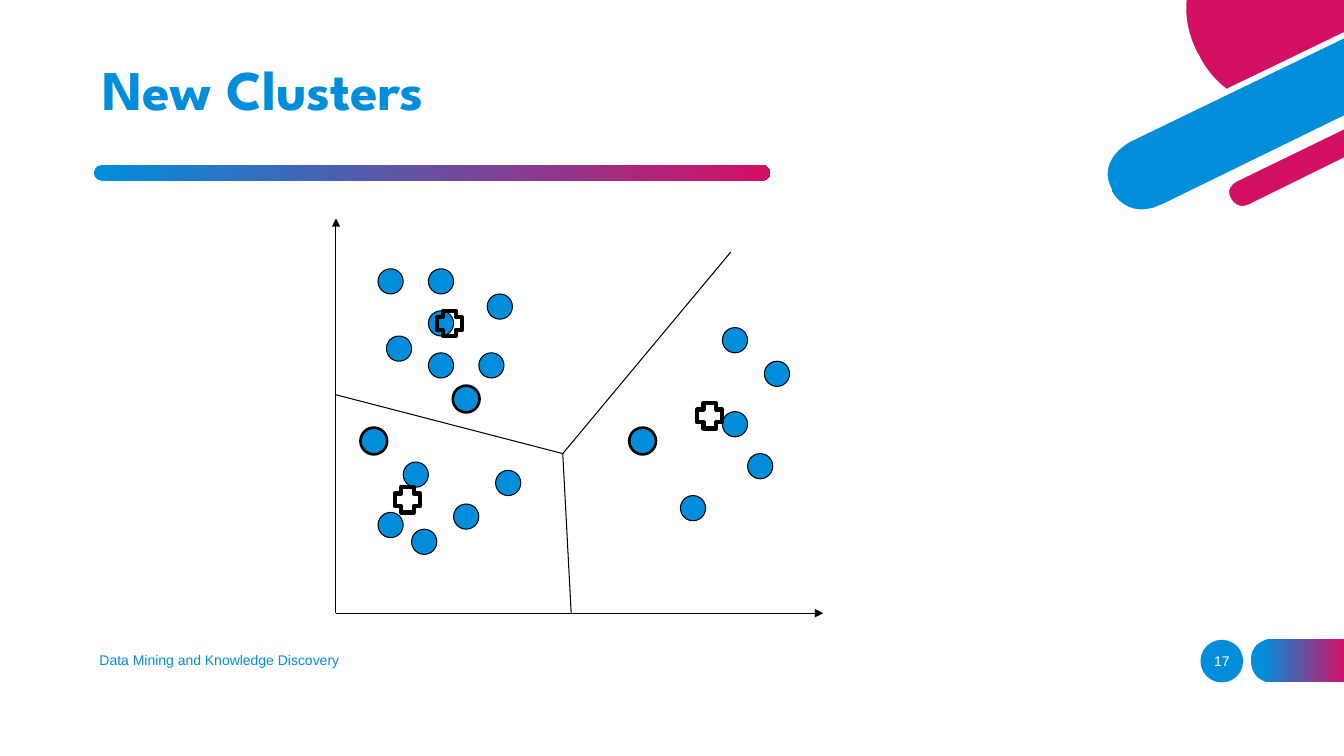
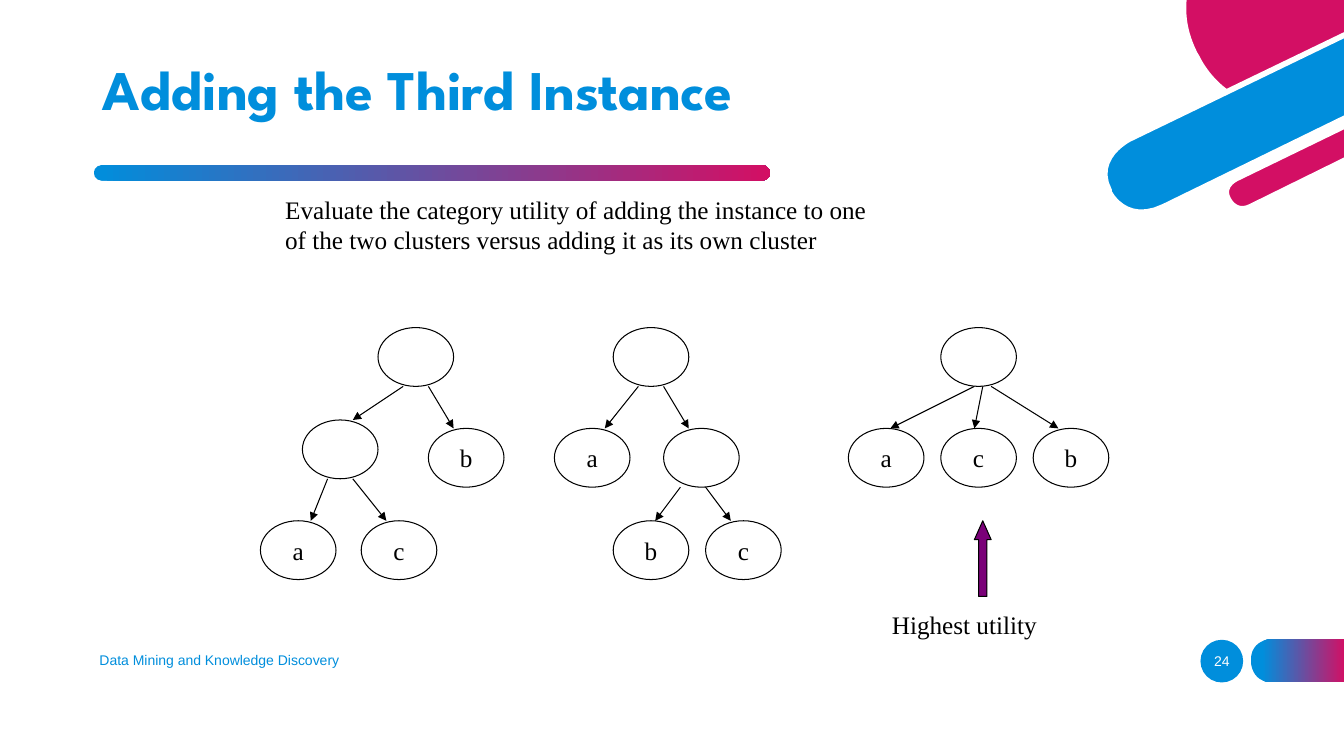
from lxml import etree
from pptx import Presentation
from pptx.dml.color import RGBColor
from pptx.enum import shapes, text
from pptx.oxml import ns
from pptx.util import Pt

BLUE = RGBColor(0x00, 0x8E, 0xDC)
PINK = RGBColor(0xD3, 0x0F, 0x64)
PLUM = RGBColor(0x7A, 0x00, 0x78)
BLACK = RGBColor(0, 0, 0)
WHITE = RGBColor(255, 255, 255)

HEAD, SANS, SERIF = "League Spartan", "Arial", "Times New Roman"
FOOTER = "Data Mining and Knowledge Discovery"
UNIT = 6
KIND = shapes.MSO_SHAPE

DISC = [(846.5, -2), (845, 11, 847, 24, 854, 38), (855.4, 40.3),
        (855.4, 40.3, 862, 55, 876, 65), (962, 23.5), (962, -2)]
BAND = [(807, 100), (807, 100, 781, 113, 793, 136), (793, 137),
        (793, 137, 804, 160, 831, 147), (962, 83), (962, 25)]
STRIPE = [(883.4, 128.2), (883.4, 128.2, 873, 133, 878, 142), (878.4, 142.6),
          (878.4, 142.6, 883, 152, 893, 147), (962, 113), (962, 90)]
TAB = [(908.6, 456.5), (908.6, 456.5, 893.5, 456.5, 893.5, 471.6), (893.5, 472.3),
       (893.5, 472.3, 893.5, 487.4, 908.6, 487.4), (961, 487.4), (961, 456.5)]

DOTS = [(5, 35), (14, 34), (8, 29), (9, 37), (19, 30), (41, 33), (49, 28), (46, 23),
        (51, 17), (46, 13), (11, 11), (5, 6), (6, 14), (18, 9), (11, 16), (17, 16), (11, 6)]
SEEDS = [(3, 25), (14, 20), (35, 25)]
MEANS = [(7, 32), (43, 22), (12, 11)]
BORDERS = [(0, 21, 27, 28), (27, 28, 28, 47), (27, 28, 47, 4)]

TREES = [
    (186, [(14, 0, ""), (5, 11, ""), (20, 12, "b"), (0, 23, "a"), (12, 23, "c")],
     [(17, 7, 11, 11), (20, 7, 23, 12), (8, 18, 6, 23), (11, 18, 15, 23)]),
    (396, [(7, 0, ""), (0, 12, "a"), (13, 12, ""), (7, 23, "b"), (18, 23, "c")],
     [(10, 7, 6, 12), (13, 7, 16, 12), (15, 19, 12, 23), (18, 19, 21, 23)]),
    (606, [(11, 0, ""), (0, 12, "a"), (11, 12, "c"), (22, 12, "b")],
     [(15, 7, 5, 12), (16, 7, 15, 12), (17, 7, 25, 12)]),
]


def blend(fill, start=0):
    """Fill with the blue-to-pink gradient, running left to right."""
    fill.gradient()
    fill.gradient_angle = 0
    for stop, color, place in zip(fill.gradient_stops, (BLUE, PINK), (start, 1)):
        stop.color.rgb = color
        stop.position = place


def paint(shape, fill=None, line=None, width=0.75):
    """Set fill and outline, and drop the shadow."""
    shape.shadow.inherit = False
    if fill is None:
        shape.fill.background()
    else:
        shape.fill.solid()
        shape.fill.fore_color.rgb = fill
    if line is None:
        shape.line.fill.background()
    else:
        shape.line.color.rgb = line
        shape.line.width = Pt(width)
    return shape


def preset(slide, kind, x, y, w, h, *look):
    """Add a painted preset shape."""
    shape = slide.shapes.add_shape(kind, Pt(x), Pt(y), Pt(w), Pt(h))
    return paint(shape, *look)


def trace(steps):
    """Turn corners and cubic curves into a list of points."""
    spots = []
    for step in steps:
        if len(step) == 2:
            spots.append(step)
            continue
        ends = [spots[-1], step[:2], step[2:4], step[4:]]
        for i in range(1, 13):
            t = i / 12
            parts = ((1 - t) ** 3, 3 * t * (1 - t) ** 2, 3 * t * t * (1 - t), t ** 3)
            spots.append(tuple(sum(k * e[axis] for k, e in zip(parts, ends))
                               for axis in (0, 1)))
    return [(Pt(x), Pt(y)) for x, y in spots]


def outline(slide, steps, *look):
    """Add a closed freeform."""
    first, *rest = trace(steps)
    maker = slide.shapes.build_freeform(*first)
    maker.add_line_segments(rest, close=True)
    return paint(maker.convert_to_shape(), *look)


def link(slide, x1, y1, x2, y2, arrow=False):
    """Add a thin black line, with an arrowhead at its end if asked."""
    line = slide.shapes.add_connector(
        shapes.MSO_CONNECTOR.STRAIGHT, Pt(x1), Pt(y1), Pt(x2), Pt(y2))
    line.line.color.rgb = BLACK
    line.line.width = Pt(0.75)
    props = line.element.find(ns.qn("p:spPr"))
    etree.SubElement(props, ns.qn("a:effectLst"))
    if arrow:
        stroke = props.find(ns.qn("a:ln"))
        etree.SubElement(stroke, ns.qn("a:tailEnd"), type="triangle")


def write(shape, lines, size, font, color, align=text.PP_ALIGN.LEFT,
          anchor=text.MSO_ANCHOR.MIDDLE, wrap=False):
    """Write one paragraph for each line."""
    frame = shape.text_frame
    frame.word_wrap = wrap
    frame.vertical_anchor = anchor
    for i, words in enumerate(lines):
        para = frame.add_paragraph() if i else frame.paragraphs[0]
        para.alignment = align
        run = para.add_run()
        run.text = words
        run.font.size = Pt(size)
        run.font.name = font
        run.font.color.rgb = color
    return frame


def label(slide, x, y, w, h, *words, **style):
    """Add a text box."""
    box = slide.shapes.add_textbox(Pt(x), Pt(y), Pt(w), Pt(h))
    return write(box, *words, **style)


def base(deck, name, page):
    """Add a slide with its title, corner art, rule and footer."""
    slide = deck.slides.add_slide(deck.slide_layouts[5])
    title = slide.shapes.title
    title.left, title.top, title.width, title.height = Pt(66), Pt(29), Pt(713), Pt(74)
    frame = write(title, [name], 40, HEAD, BLUE, wrap=True)
    frame.auto_size = text.MSO_AUTO_SIZE.NONE
    para = frame.paragraphs[0]
    para.line_spacing = 0.9
    para.runs[0].font.bold = True
    blend(para.runs[0].font.fill)

    for steps, color in ((DISC, PINK), (BAND, BLUE), (STRIPE, PINK)):
        outline(slide, steps, color, WHITE, 2.6)
    rule = preset(slide, KIND.ROUNDED_RECTANGLE, 67, 118, 483, 11)
    rule.adjustments[0] = 0.5
    blend(rule.fill)
    blend(outline(slide, TAB).fill, 0.12)

    label(slide, 64, 456.5, 324, 29, [FOOTER], 10, SANS, BLUE, wrap=True)
    badge = preset(slide, KIND.OVAL, 857.5, 457, 30.5, 30.5, BLUE)
    frame = write(badge, [str(page)], 10, SANS, WHITE, text.PP_ALIGN.CENTER)
    frame.margin_left = frame.margin_right = 0
    return slide


def plot(slide, x, y, w, h):
    """Draw the axes, points, cluster means and borders in a box."""
    for end in ((x, y), (x + w, y + h)):
        link(slide, x, y + h, *end, arrow=True)

    def mark(kind, spots, *look):
        """Place one kind of marker at each grid spot."""
        return [preset(slide, kind, x + i * UNIT, y + j * UNIT, 18, 18, *look)
                for i, j in spots]

    mark(KIND.OVAL, SEEDS, BLUE, BLACK, 3)
    mark(KIND.OVAL, DOTS + SEEDS, BLUE, BLACK)
    for cross in mark(KIND.CROSS, MEANS, None, BLACK, 3):
        cross.adjustments[0] = 0.25
    for a, b, c, d in BORDERS:
        link(slide, x + a * UNIT, y + b * UNIT, x + c * UNIT, y + d * UNIT)


def tree(slide, x, y, nodes, edges):
    """Draw one tree from its top-left corner."""
    for i, j, name in nodes:
        node = preset(slide, KIND.OVAL, x + i * UNIT, y + j * UNIT, 54, 42, None, BLACK)
        if name:
            write(node, [name], 18, SERIF, BLACK, text.PP_ALIGN.CENTER)
    for a, b, c, d in edges:
        link(slide, x + a * UNIT, y + b * UNIT, x + c * UNIT, y + d * UNIT, True)


def choice(slide, x, y):
    """Draw the arrow and caption under the best tree."""
    arrow = preset(slide, KIND.UP_ARROW, x + 66, y, 12, 54, PLUM, BLACK)
    arrow.adjustments[0] = 0.5
    arrow.adjustments[1] = 1.125
    label(slide, x, y + 60, 119, 29, ["Highest utility"], 18, SERIF, BLACK,
          anchor=text.MSO_ANCHOR.TOP)


def main():
    """Build and save the deck."""
    deck = Presentation()
    deck.slide_width, deck.slide_height = Pt(960), Pt(540)

    slide = base(deck, "New Clusters", 17)
    plot(slide, 240, 156, 348, 282)

    slide = base(deck, "Adding the Third Instance", 24)
    for x, nodes, edges in TREES:
        tree(slide, x, 234, nodes, edges)
    label(slide, 196.6, 135.4, 434, 51,
          ["Evaluate the category utility of adding the instance to one",
           "of the two clusters versus adding it as its own cluster"],
          18, SERIF, BLACK, anchor=text.MSO_ANCHOR.TOP)
    choice(slide, 630, 372)

    deck.save("out.pptx")


if __name__ == "__main__":
    main()
